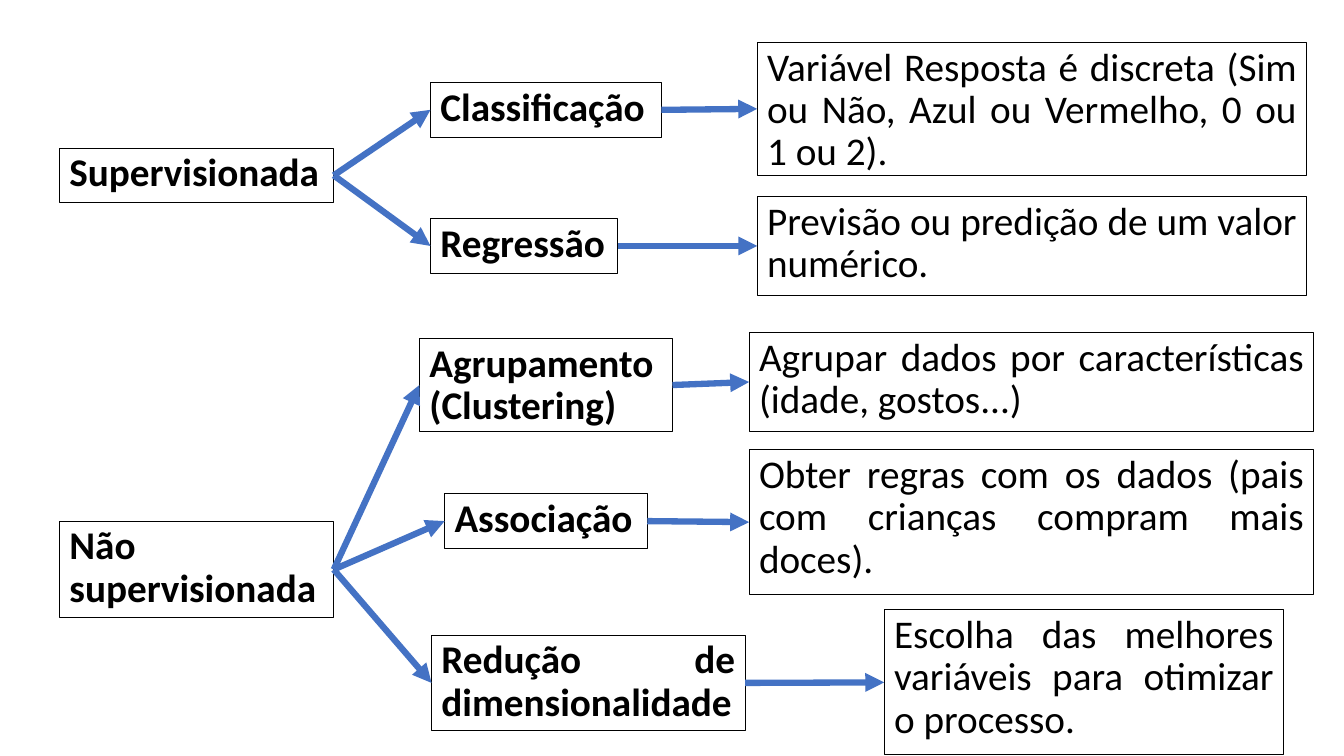
from pptx import Presentation
from pptx.dml.color import RGBColor
from pptx.enum.shapes import MSO_CONNECTOR as Connector, MSO_SHAPE as Shape
from pptx.enum.text import MSO_ANCHOR as Anchor, PP_ALIGN as Align
from pptx.oxml.ns import qn
from pptx.util import Pt
from lxml.etree import SubElement

EMU_PER_PX = 9144
BLANK_LAYOUT = 6
RIGHT, LEFT = 3, 1
BLACK = RGBColor(0x00, 0x00, 0x00)
BLUE = RGBColor(0x44, 0x72, 0xC4)

# Each learning type: label, frame, branches (label, frame, description, frame).
# A frame is left, top, width, height in px.
LEARNING_TYPES = [
    ("Supervisionada", (59, 147, 272, 54), [
        ("Classificação", (427, 82, 229, 54),
         "Variável Resposta é discreta (Sim ou Não, Azul ou Vermelho, 0 ou 1 ou 2).",
         (751, 42, 545, 132)),
        ("Regressão", (427, 217, 186, 54),
         "Previsão ou predição de um valor numérico.",
         (751, 195, 545, 98)),
    ]),
    ("Não supervisionada", (59, 517, 272, 96), [
        ("Agrupamento (Clustering)", (416, 336, 251, 92),
         "Agrupar dados por características (idade, gostos...)",
         (743, 330, 560, 98)),
        ("Associação", (441, 490, 201, 54),
         "Obter regras com os dados (pais com crianças compram mais doces).",
         (743, 446, 560, 144)),
        ("Redução de dimensionalidade", (428, 630, 311, 95),
         "Escolha das melhores variáveis para otimizar o processo.",
         (877, 605, 396, 144)),
    ]),
]


def px(length):
    return length * EMU_PER_PX


def apply(target, formats):
    for name, value in formats.items():
        setattr(target, name, value)


class Diagram:
    FONT = {"name": "Calibri", "size": Pt(28)}
    PARA = {"alignment": Align.JUSTIFY, "line_spacing": 0.9}
    FRAME = {"word_wrap": True, "vertical_anchor": Anchor.TOP,
             "margin_left": px(10), "margin_right": px(10),
             "margin_top": px(5), "margin_bottom": px(5)}

    def __init__(self, page):
        self.page = page

    def box(self, text, frame, bold=False):
        box = self.page.shapes.add_shape(Shape.RECTANGLE, *map(px, frame))
        box.shadow.inherit = False
        box.fill.background()
        box.line.color.rgb = BLACK
        box.line.width = Pt(0.75)
        apply(box.text_frame, self.FRAME)
        para = box.text_frame.paragraphs[0]
        apply(para, self.PARA)
        span = para.add_run()
        span.text = text
        apply(span.font, self.FONT | {"bold": bold})
        span.font.color.rgb = BLACK
        return box

    def arrow(self, source, target):
        """Join the right side of source to the left side of target."""
        arrow = self.page.shapes.add_connector(Connector.STRAIGHT, 0, 0, 0, 0)
        arrow.begin_connect(source, RIGHT)
        arrow.end_connect(target, LEFT)
        arrow.line.color.rgb = BLUE
        arrow.line.width = Pt(4.5)
        SubElement(arrow.line._get_or_add_ln(), qn("a:tailEnd"), type="triangle")
        SubElement(arrow._element.spPr, qn("a:effectLst"))


def main():
    deck = Presentation()
    deck.slide_width, deck.slide_height = px(1333), px(750)
    page = deck.slides.add_slide(deck.slide_layouts[BLANK_LAYOUT])
    diagram = Diagram(page)
    for type_name, type_frame, branches in LEARNING_TYPES:
        type_box = diagram.box(type_name, type_frame, bold=True)
        for name, frame, description, description_frame in branches:
            branch_box = diagram.box(name, frame, bold=True)
            description_box = diagram.box(description, description_frame)
            diagram.arrow(type_box, branch_box)
            diagram.arrow(branch_box, description_box)
    deck.save("out.pptx")


if __name__ == "__main__":
    main()
